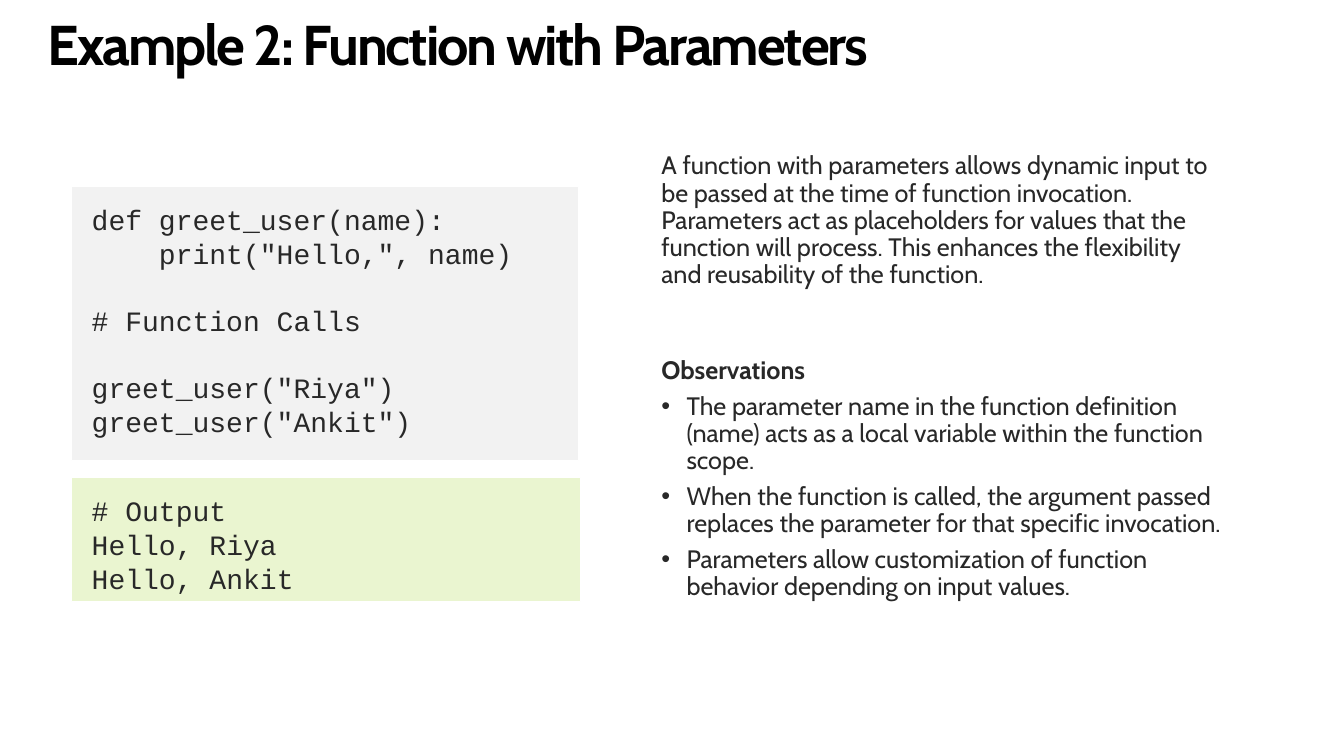
from lxml import etree
from pptx import Presentation
from pptx.dml.color import RGBColor
from pptx.enum.shapes import MSO_SHAPE
from pptx.enum.text import MSO_ANCHOR, PP_ALIGN
from pptx.oxml.ns import qn
from pptx.util import Inches, Pt

RECTANGLE = MSO_SHAPE.RECTANGLE
TOP = MSO_ANCHOR.TOP
LEFT = PP_ALIGN.LEFT

COLOURS = {
    "title": "000000",
    "text": "282828",
    "code": "F2F2F2",
    "output": "EAF5D0",
    "edge": "FFFFFF",
}
TITLE_FONT = {"name": "Cabin", "size": Pt(40), "bold": True}
BODY_FONT = {"name": "Cabin", "size": Pt(18), "bold": False}
HEADING_FONT = {**BODY_FONT, "bold": True}
CODE_FONT = {"name": "Courier New", "size": Pt(20), "bold": False}
TITLE_SPACING = {"alignment": LEFT, "line_spacing": 0.9}
BODY_SPACING = {**TITLE_SPACING, "space_after": Pt(6)}
CODE_SPACING = {"alignment": LEFT}
CODE_GAP = Pt(24)
PANEL_INSETS = (0.2, 0.16, 0.2, 0.16)

INTRODUCTION = (
    "A function with parameters allows dynamic input to be passed at the time "
    "of function invocation. Parameters act as placeholders for values that the "
    "function will process. This enhances the flexibility and reusability of the function."
)
OBSERVATIONS = [
    "The parameter name in the function definition (name) acts as a local "
    "variable within the function scope.",
    "When the function is called, the argument passed replaces the parameter "
    "for that specific invocation.",
    "Parameters allow customization of function behavior depending on input values.",
]
CODE_BLOCKS = [
    ["def greet_user(name):", '    print("Hello,", name)'],
    ["# Function Calls"],
    ['greet_user("Riya")', 'greet_user("Ankit")'],
]
OUTPUT_BLOCKS = [["# Output", "Hello, Riya", "Hello, Ankit"]]


def set_values(target, values):
    for name, value in values.items():
        setattr(target, name, value)


def set_frame(shape, insets=PANEL_INSETS):
    left, top, right, bottom = map(Inches, insets)
    frame = shape.text_frame
    set_values(frame, {
        "word_wrap": True, "vertical_anchor": TOP,
        "margin_left": left, "margin_top": top,
        "margin_right": right, "margin_bottom": bottom,
    })
    return frame


def add_text(page, area, insets=PANEL_INSETS):
    return set_frame(page.shapes.add_textbox(*map(Inches, area)), insets)


def write(para, text, font, spacing, colour="text"):
    set_values(para, spacing)
    span = para.add_run()
    span.text = text
    set_values(span.font, font)
    span.font.color.rgb = RGBColor.from_string(COLOURS[colour])
    return span


def add_bullet(para):
    properties = para._p.get_or_add_pPr()
    properties.set("marL", str(Inches(0.25)))
    properties.set("indent", str(-Inches(0.25)))
    font = etree.SubElement(properties, qn("a:buFont"))
    font.set("typeface", "Arial")
    bullet = etree.SubElement(properties, qn("a:buChar"))
    bullet.set("char", "•")


def add_code_panel(page, area, fill, blocks):
    panel = page.shapes.add_shape(RECTANGLE, *map(Inches, area))
    panel.shadow.inherit = False
    panel.fill.solid()
    panel.fill.fore_color.rgb = RGBColor.from_string(COLOURS[fill])
    panel.line.color.rgb = RGBColor.from_string(COLOURS["edge"])
    panel.line.width = Pt(0.75)
    frame = set_frame(panel)
    para = frame.paragraphs[0]
    for block_index, block in enumerate(blocks):
        for line_index, line in enumerate(block):
            if block_index or line_index:
                para = frame.add_paragraph()
            write(para, line, CODE_FONT, CODE_SPACING)
            if block_index and not line_index:
                para.space_before = CODE_GAP


def add_title(page):
    frame = add_text(page, (0.47, -0.01, 12.39, 0.81), (0, 0.18, 0, 0))
    span = write(frame.paragraphs[0], "Example 2: Function with Parameters",
                 TITLE_FONT, TITLE_SPACING, "title")
    span.font._element.set("spc", "-150")


def add_observations(page):
    frame = add_text(page, (6.36, 3.39, 5.96, 3.03))
    write(frame.paragraphs[0], "Observations", HEADING_FONT, BODY_SPACING)
    for observation in OBSERVATIONS:
        para = frame.add_paragraph()
        write(para, observation, BODY_FONT, BODY_SPACING)
        add_bullet(para)


def main():
    deck = Presentation()
    deck.slide_width, deck.slide_height = Inches(13.33), Inches(7.5)
    page = deck.slides.add_slide(deck.slide_layouts[6])
    add_title(page)
    introduction = add_text(page, (6.36, 1.36, 5.97, 1.69))
    write(introduction.paragraphs[0], INTRODUCTION, BODY_FONT, BODY_SPACING)
    add_code_panel(page, (0.71, 1.85, 5.03, 2.72), "code", CODE_BLOCKS)
    add_code_panel(page, (0.71, 4.74, 5.05, 1.23), "output", OUTPUT_BLOCKS)
    add_observations(page)
    deck.save("out.pptx")


if __name__ == "__main__":
    main()
